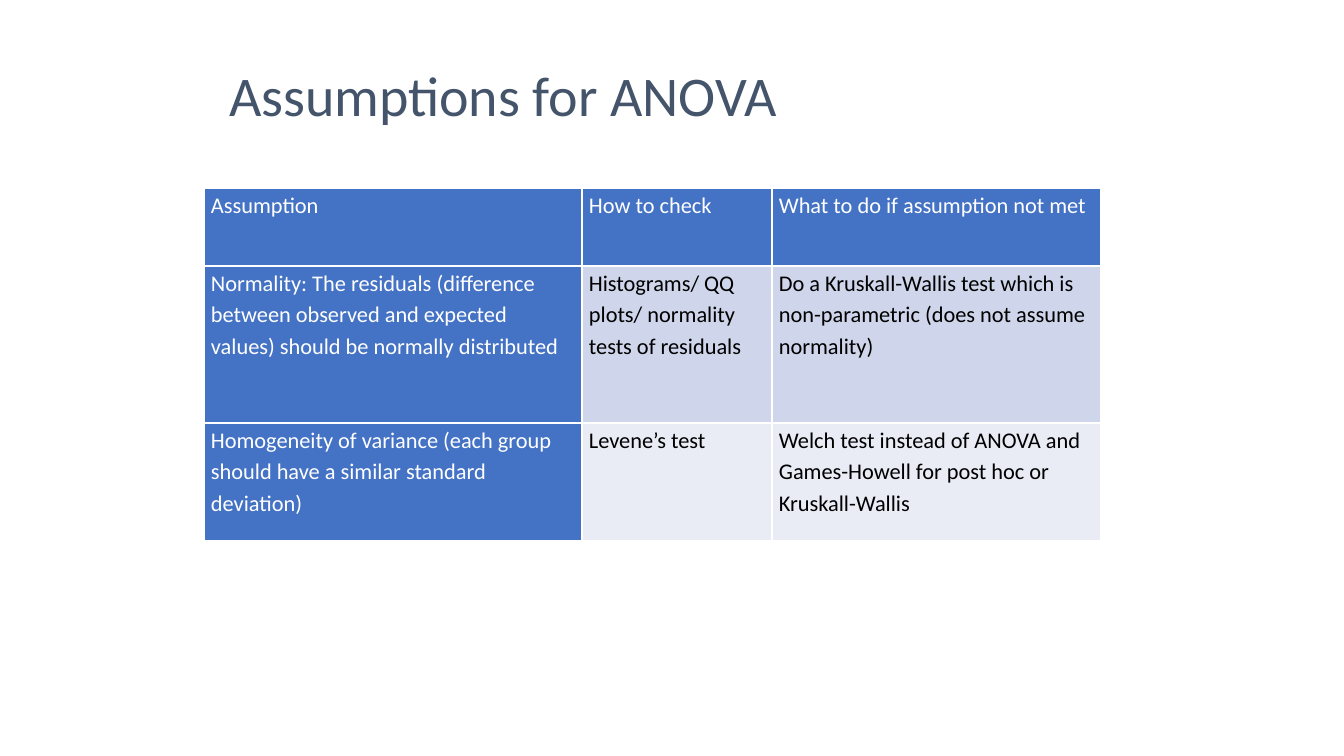
from pptx import Presentation
from pptx.dml.color import RGBColor
from pptx.enum.text import MSO_ANCHOR, PP_ALIGN
from pptx.util import Emu, Pt

SLATE = RGBColor(0x44, 0x54, 0x6A)
BLUE = RGBColor(0x44, 0x72, 0xC4)
LIGHT_BLUE = RGBColor(0xCF, 0xD5, 0xEA)
PALE_BLUE = RGBColor(0xE9, 0xEB, 0xF5)
WHITE = RGBColor(0xFF, 0xFF, 0xFF)
BLACK = RGBColor(0x00, 0x00, 0x00)

ASSUMPTIONS = [
    ["Assumption", "How to check", "What to do if assumption not met"],
    ["Normality: The residuals (difference between observed and expected "
     "values) should be normally distributed",
     "Histograms/ QQ plots/ normality tests of residuals",
     "Do a Kruskall-Wallis test which is non-parametric (does not assume "
     "normality)"],
    ["Homogeneity of variance (each group should have a similar standard "
     "deviation)",
     "Levene’s test",
     "Welch test instead of ANOVA and Games-Howell for post hoc or "
     "Kruskall-Wallis"],
]


def px(length):
    return Emu(round(length * 914400 / 100.8))


def write(frame, text, *, size, color, font, spacing=1.0, after=0):
    para = frame.paragraphs[0]
    para.alignment = PP_ALIGN.LEFT
    para.line_spacing = spacing
    para.space_before = Pt(0)
    para.space_after = Pt(after)
    span = para.add_run()
    span.text = text
    span.font.name = font
    span.font.size = Pt(size)
    span.font.bold = False
    span.font.color.rgb = color


class SlideBuilder:
    font = "Calibri"
    title_size = 40
    cell_size = 16

    def __init__(self, deck):
        self.page = deck.slides.add_slide(deck.slide_layouts[5])

    def title(self, text, left, top, width, height):
        box = self.page.shapes.title
        box.left, box.top = px(left), px(top)
        box.width, box.height = px(width), px(height)
        frame = box.text_frame
        frame.word_wrap = True
        frame.vertical_anchor = MSO_ANCHOR.TOP
        frame.margin_top = px(9)
        write(frame, text, size=self.title_size, color=SLATE, font=self.font)

    def table(self, rows, left, top, widths, heights):
        # The default table style supplies the white grid lines
        table = self.page.shapes.add_table(
            len(rows), len(widths), px(left), px(top),
            px(sum(widths)), px(sum(heights))).table
        table.first_col = True
        for column, width in zip(table.columns, widths):
            column.width = px(width)
        for row, height in zip(table.rows, heights):
            row.height = px(height)
        for r, texts in enumerate(rows):
            for c, text in enumerate(texts):
                heading = r == 0 or c == 0
                band = LIGHT_BLUE if r % 2 else PALE_BLUE
                self.cell(table.cell(r, c), text,
                          BLUE if heading else band,
                          WHITE if heading else BLACK)

    def cell(self, cell, text, fill, color):
        cell.fill.solid()
        cell.fill.fore_color.rgb = fill
        cell.margin_left = cell.margin_right = px(7)
        cell.margin_top = cell.margin_bottom = 0
        write(cell.text_frame, text, size=self.cell_size, color=color,
              font=self.font, spacing=1.15, after=10)


def main():
    deck = Presentation()
    deck.slide_width, deck.slide_height = px(1344), px(756)
    slide = SlideBuilder(deck)

    # Heading
    slide.title("Assumptions for ANOVA", 219, 52, 907, 104)

    # Assumptions, checks and remedies
    slide.table(ASSUMPTIONS, 204, 188, [378, 190, 329], [78, 157, 118])

    deck.save("out.pptx")


if __name__ == "__main__":
    main()
